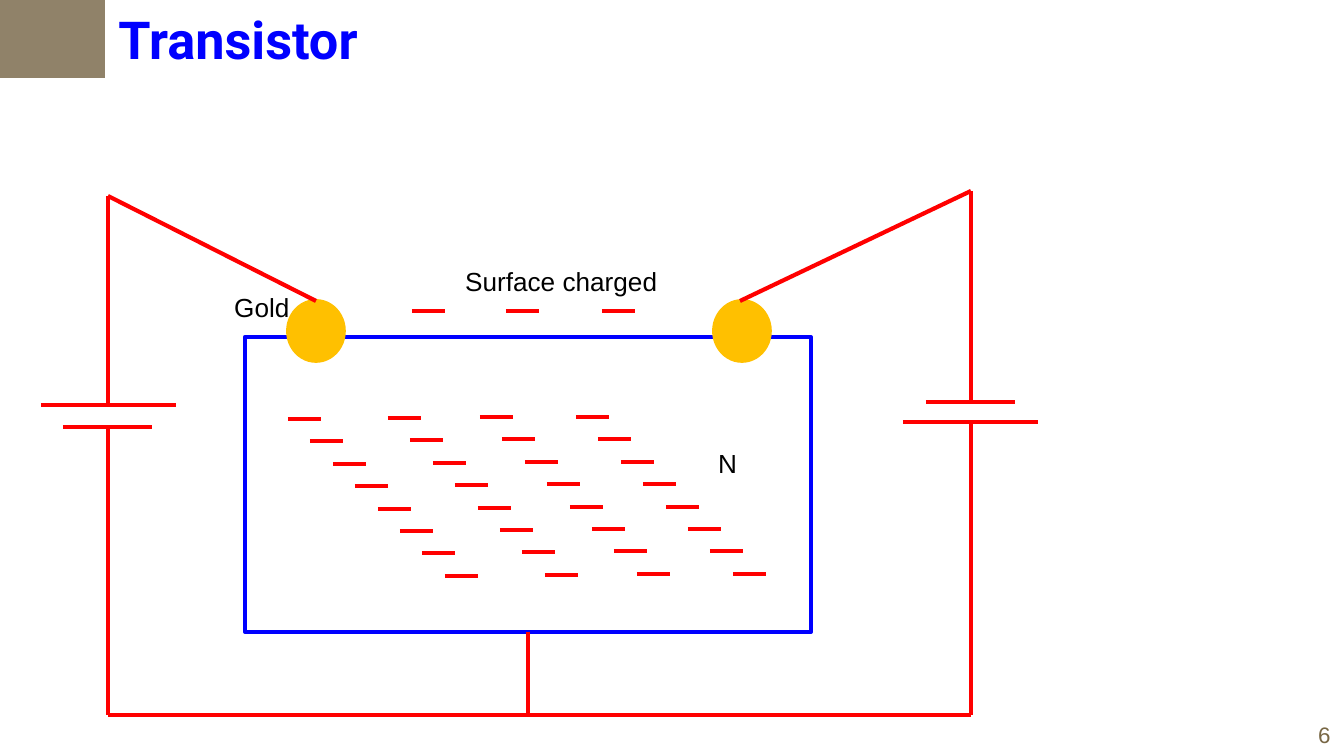
from lxml.etree import SubElement
from pptx import Presentation
from pptx.dml.color import RGBColor
from pptx.enum.shapes import MSO_CONNECTOR as Connector, MSO_SHAPE as Shape
from pptx.enum.text import MSO_ANCHOR as Anchor, MSO_AUTO_SIZE as AutoSize, PP_ALIGN as Align
from pptx.oxml.ns import qn
from pptx.util import Pt

EMU_PER_PX = 914400 / 134.4
BLUE, RED, GOLD = "0000FF", "FF0000", "FFC000"
TAUPE, BROWN, BLACK = "908269", "786745", "000000"


def px(length):
    return round(length * EMU_PER_PX)


def color(value):
    return RGBColor.from_string(value)


def write(frame, text, size=14, font="Arial", fill=BLACK, bold=False):
    frame.text = text
    paragraph = frame.paragraphs[0]
    paragraph.alignment = Align.LEFT
    style = paragraph.runs[0].font
    style.size, style.name, style.bold = Pt(size), font, bold
    style.color.rgb = color(fill)


class Diagram:
    wire_width = 2.25
    dash_length = 33

    def __init__(self, slide):
        self.slide = slide
        self.shapes = slide.shapes

    def title(self, text, left, top, width, height):
        shape = self.shapes.title
        shape.left, shape.top = px(left), px(top)
        shape.width, shape.height = px(width), px(height)
        write(shape.text_frame, text, size=28, font="Roboto", fill=BLUE, bold=True)
        shape.text_frame.vertical_anchor = Anchor.MIDDLE
        shape.text_frame.auto_size = AutoSize.NONE

    def label(self, text, left, top, width, height, **style):
        shape = self.shapes.add_textbox(px(left), px(top), px(width), px(height))
        write(shape.text_frame, text, **style)
        shape.text_frame.word_wrap = False
        shape.text_frame.auto_size = AutoSize.SHAPE_TO_FIT_TEXT

    def block(self, kind, left, top, width, height, fill=None, line=None, line_width=2.25):
        shape = self.shapes.add_shape(kind, px(left), px(top), px(width), px(height))
        shape.shadow.inherit = False
        if fill:
            shape.fill.solid()
            shape.fill.fore_color.rgb = color(fill)
        else:
            shape.fill.background()
        if line:
            shape.line.color.rgb = color(line)
            shape.line.width = Pt(line_width)
        else:
            shape.line.fill.background()

    def wire(self, x1, y1, x2, y2):
        line = self.shapes.add_connector(Connector.STRAIGHT, px(x1), px(y1), px(x2), px(y2))
        line.line.color.rgb = color(RED)
        line.line.width = Pt(self.wire_width)
        SubElement(line._element.spPr, qn("a:effectLst"))

    def charge(self, x, y):
        self.wire(x, y, x + self.dash_length, y)


def main():
    presentation = Presentation()
    presentation.slide_width, presentation.slide_height = px(1344), px(756)
    slide = presentation.slides.add_slide(presentation.slide_layouts[5])
    diagram = Diagram(slide)

    # Heading and page number
    diagram.label("6", 1305, 715, 39, 40, size=12, fill=BROWN)
    diagram.title("Transistor", 105, 0, 1109, 77)
    diagram.block(Shape.RECTANGLE, 0, 0, 105, 78, fill=TAUPE)

    # N-type crystal with diagonal rows of electrons
    diagram.block(Shape.RECTANGLE, 245, 337, 566, 295, line=BLUE)
    for x, y in ((388, 418), (480, 417), (576, 417), (288, 419)):
        for row in range(8):
            offset = round(row * 22.4)
            diagram.charge(x + offset, y + offset)
    diagram.label("N", 705, 441, 46, 46)

    # Gold contacts and surface charge
    for x in (288, 714):
        diagram.block(Shape.OVAL, x, 301, 56, 60, fill=GOLD, line=GOLD, line_width=2)
    for x in (412, 506, 602):
        diagram.charge(x, 311)

    # Left battery, right battery, then the common return
    wires = [
        (108, 196, 108, 405), (41, 405, 176, 405), (63, 427, 152, 427),
        (108, 427, 108, 715), (108, 196, 316, 301),
        (971, 191, 740, 301), (971, 191, 971, 400), (903, 422, 1038, 422),
        (926, 402, 1015, 402), (971, 422, 971, 715),
        (108, 715, 971, 715), (528, 632, 528, 715),
    ]
    for ends in wires:
        diagram.wire(*ends)

    # Labels
    diagram.label("Gold", 221, 285, 83, 46)
    diagram.label("Surface charged", 452, 259, 220, 46)

    presentation.save("out.pptx")


if __name__ == "__main__":
    main()
